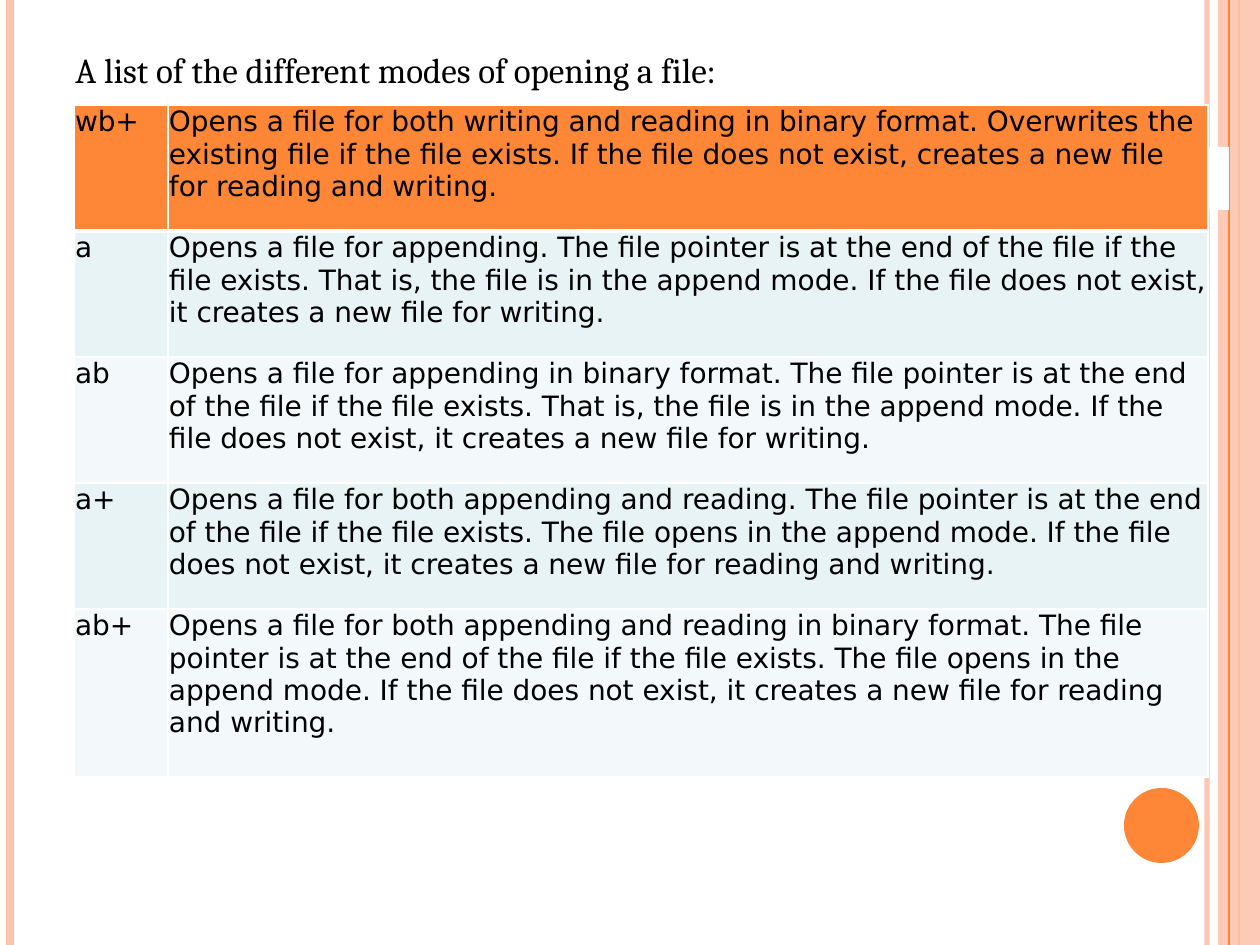
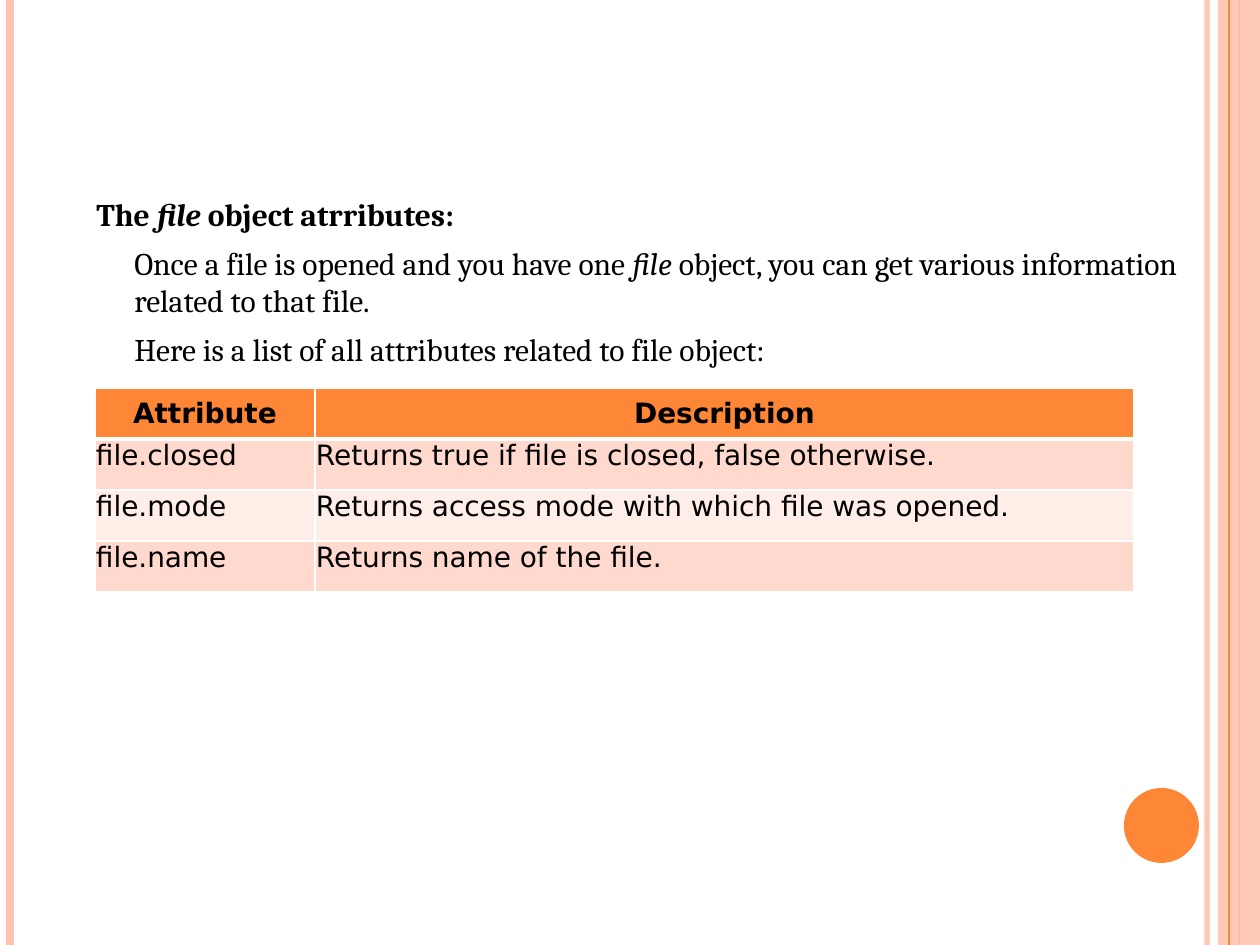
import dataclasses
import pptx
import pptx.dml.color
import pptx.enum.shapes
import pptx.enum.text
import pptx.oxml
import pptx.oxml.ns
import pptx.util


@dataclasses.dataclass(frozen=True)
class Theme:
    ink: str = "000000"
    paper: str = "FFFFFF"
    orange: str = "FE8637"
    peach: str = "FEC3AE"
    mint: tuple = ("E7F3F4", "F3F9FA")
    blush: tuple = ("FFD9CE", "FFEDE8")
    serif: str = "Cambria"
    sans: str = "DejaVu Sans"
    lead: int = 20
    body: int = 18
    cell: int = 16


theme = Theme()
Pt = pptx.util.Pt
color = pptx.dml.color.RGBColor.from_string
kinds = pptx.enum.shapes.MSO_SHAPE
aligns = pptx.enum.text.PP_ALIGN
anchors = pptx.enum.text.MSO_ANCHOR
qn = pptx.oxml.ns.qn
space = pptx.oxml.ns.nsdecls("a")


def px(count):
    return round(count * 914400 / 126)


def write(frame, text, size=theme.body, font=theme.serif, bold=False,
          align=aligns.LEFT, gap=0, left=0, hang=0, more=False):
    para = frame.add_paragraph() if more else frame.paragraphs[0]
    para.alignment = align
    para.space_before = Pt(gap)
    props = para._p.get_or_add_pPr()
    props.set("marL", str(px(left)))
    props.set("indent", str(px(-hang)))
    for place, part in enumerate(text.split("*")):
        run = para.add_run()
        run.text = part
        run.font.size = Pt(size)
        run.font.name = font
        run.font.bold = bold
        run.font.italic = place % 2 == 1
        run.font.color.rgb = color(theme.ink)


modes = [
    ("wb+", "Opens a file for both writing and reading in binary format. Overwrites the existing file if the file exists. If the file does not exist, creates a new file for reading and writing."),
    ("a", "Opens a file for appending. The file pointer is at the end of the file if the file exists. That is, the file is in the append mode. If the file does not exist, it creates a new file for writing."),
    ("ab", "Opens a file for appending in binary format. The file pointer is at the end of the file if the file exists. That is, the file is in the append mode. If the file does not exist, it creates a new file for writing."),
    ("a+", "Opens a file for both appending and reading. The file pointer is at the end of the file if the file exists. The file opens in the append mode. If the file does not exist, it creates a new file for reading and writing."),
    ("ab+", "Opens a file for both appending and reading in binary format. The file pointer is at the end of the file if the file exists. The file opens in the append mode. If the file does not exist, it creates a new file for reading and writing."),
]
traits = [
    ("Attribute", "Description"),
    ("file.closed", "Returns true if file is closed, false otherwise."),
    ("file.mode", "Returns access mode with which file was opened."),
    ("file.name", "Returns name of the file."),
]

pages = [
    dict(
        box=(63, 42, 1144, 861), size=theme.lead,
        paras=[("A list of the different modes of opening a file:", True, False)],
        mask=(32, 147, 1197, 63),
        at=(74, 105), cols=(94, 1040), rows=(126, 126, 126, 126, 168),
        cells=modes, bands=theme.mint, titled=False, seam=3,
    ),
    dict(
        box=(84, 189, 1124, 725), size=theme.body,
        paras=[
            ("The *file* object atrributes:", True, True),
            ("Once a file is opened and you have one *file* object, you can get various information related to that file.", False, False),
            ("Here is a list of all attributes related to file object:", False, False),
        ],
        mask=None,
        at=(95, 388), cols=(220, 819), rows=(51,) * 4,
        cells=traits, bands=theme.blush, titled=True, seam=1,
    ),
]

deck = pptx.Presentation()
deck.slide_width = px(1260)
deck.slide_height = px(945)

for page in pages:
    slide = deck.slides.add_slide(deck.slide_layouts[6])
    shapes = slide.shapes
    slide.background.fill.solid()
    slide.background.fill.fore_color.rgb = color(theme.paper)

    decor = [
        ("line", 1207, theme.peach, 3, 93),
        ("line", 10, theme.peach, 4.5, 100),
        ("line", 1239, theme.orange, 1.5, 100),
        (kinds.RECTANGLE, (1218, 0, 42, 945), theme.peach, 0, 87),
        ("line", 1229, theme.orange, 0.75, 100),
        (kinds.OVAL, (1124, 788, 75, 75), theme.orange, 0, 100),
    ]
    if page["mask"]:
        decor.append((kinds.RECTANGLE, page["mask"], theme.paper, 0, 100))

    for kind, place, tint, width, alpha in decor:
        if kind == "line":
            item = shapes.add_connector(
                pptx.enum.shapes.MSO_CONNECTOR.STRAIGHT,
                px(place), 0, px(place), px(945))
            item.line.color.rgb = color(tint)
            item.line.width = Pt(width)
            item._element.spPr.append(
                pptx.oxml.parse_xml(f"<a:effectLst {space}/>"))
        else:
            item = shapes.add_shape(kind, *map(px, place))
            item.shadow.inherit = False
            item.fill.solid()
            item.fill.fore_color.rgb = color(tint)
            item.line.fill.background()
        if alpha < 100:
            paint = next(item._element.spPr.iter(qn("a:srgbClr")))
            paint.append(pptx.oxml.parse_xml(
                f'<a:alpha {space} val="{alpha * 1000}"/>'))

    frame = shapes.add_textbox(*map(px, page["box"])).text_frame
    frame.word_wrap = True
    for order, (text, hung, bold) in enumerate(page["paras"]):
        write(frame, text, size=page["size"], bold=bold, gap=6,
              left=38, hang=38 if hung else 0, more=order > 0)

    cols, rows = page["cols"], page["rows"]
    table = shapes.add_table(
        len(rows), len(cols), *map(px, page["at"]),
        px(sum(cols)), px(sum(rows))).table
    table.first_row = table.horz_banding = False
    for col, width in zip(table.columns, cols):
        col.width = px(width)
    for index, height in enumerate(rows):
        table.rows[index].height = px(height)
        head = index == 0
        title = head and page["titled"]
        tint = theme.orange if head else page["bands"][(index - 1) % 2]
        edges = dict(lnL=1, lnR=1, lnT=page["seam"] if index == 1 else 1,
                     lnB=3 if head else 1)
        for cell, text in zip(table.rows[index].cells, page["cells"][index]):
            cell.margin_left = cell.margin_right = cell.margin_top = px(1)
            cell.margin_bottom = 0
            cell.vertical_anchor = anchors.MIDDLE if title else anchors.TOP
            write(cell.text_frame, text, size=theme.cell, font=theme.sans,
                  bold=title, align=aligns.CENTER if title else aligns.LEFT)
            props = cell._tc.get_or_add_tcPr()
            for edge, width in edges.items():
                props.append(pptx.oxml.parse_xml(
                    f'<a:{edge} {space} w="{Pt(width)}"><a:solidFill>'
                    f'<a:srgbClr val="{theme.paper}"/></a:solidFill></a:{edge}>'))
            cell.fill.solid()
            cell.fill.fore_color.rgb = color(tint)

deck.save("out.pptx")
